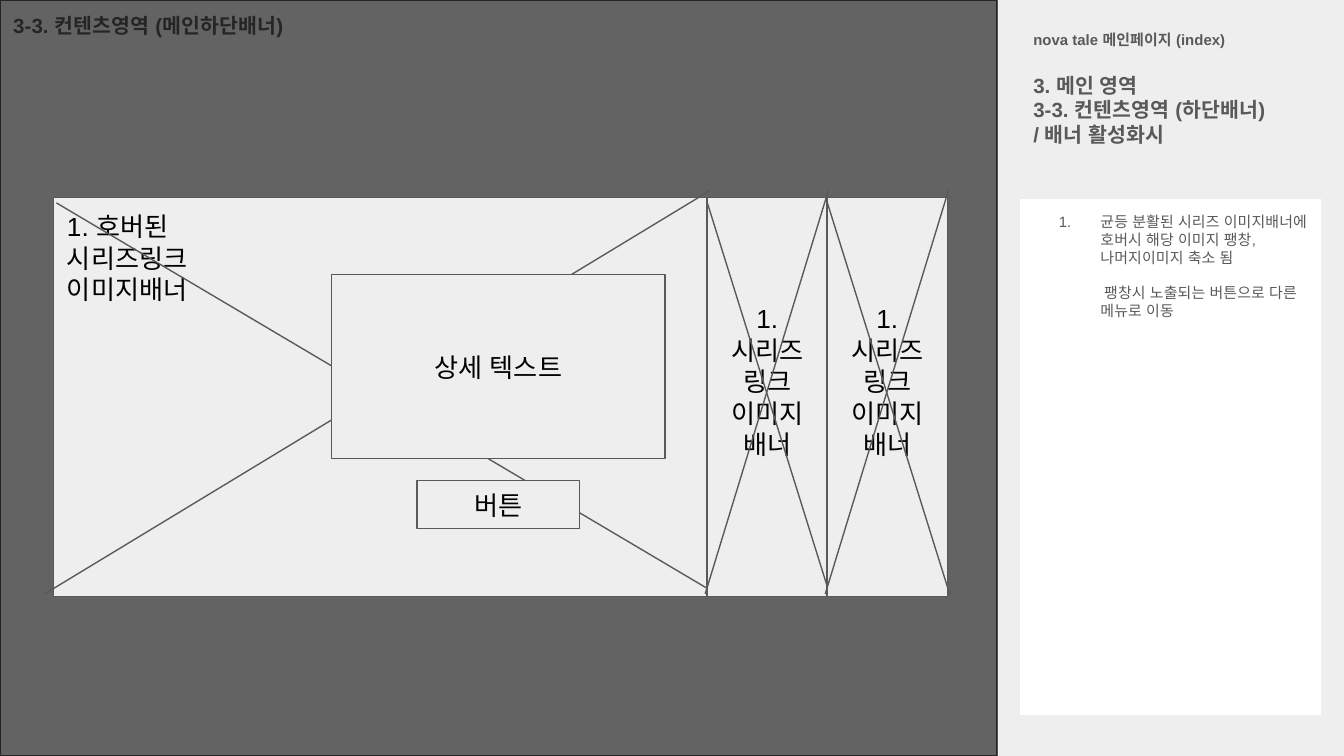
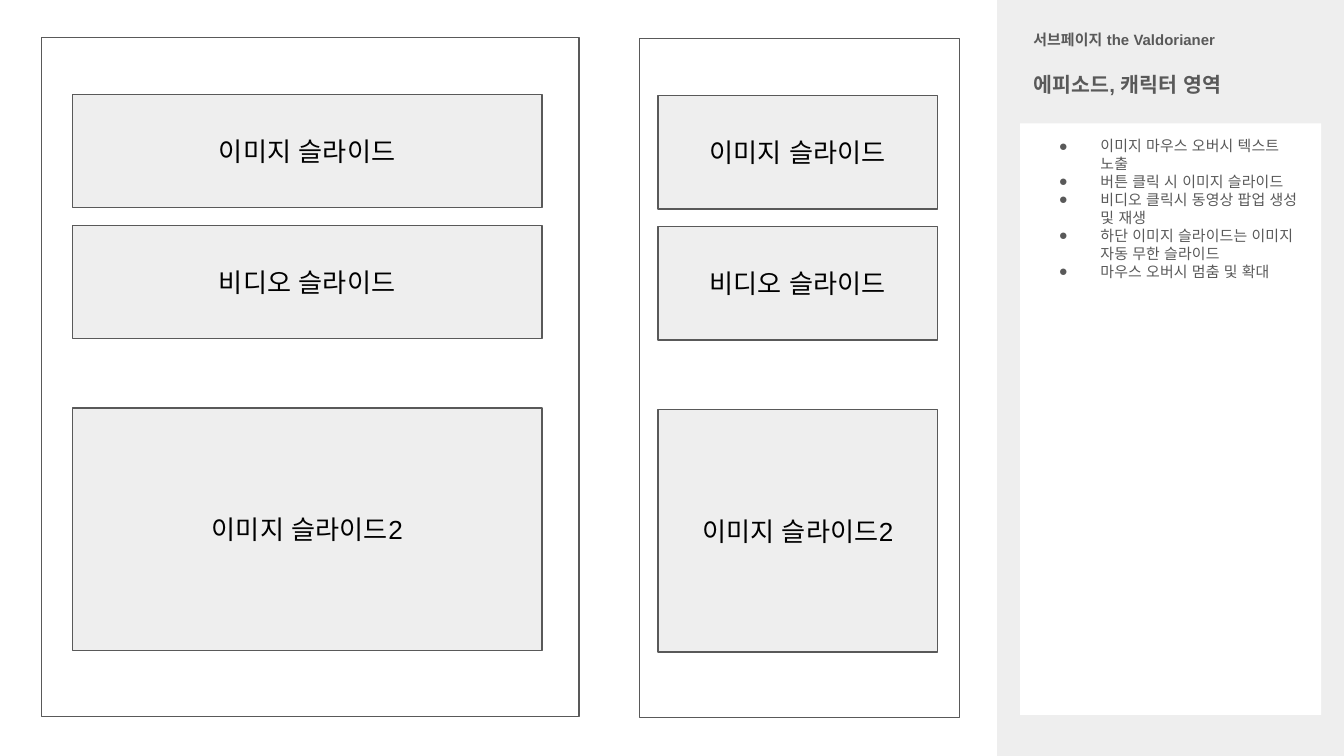
from dataclasses import dataclass
from typing import Any, NamedTuple

import pptx
import pptx.dml.color
import pptx.enum.shapes
import pptx.enum.text
import pptx.oxml.ns
import pptx.util
from lxml import etree

Pt = pptx.util.Pt
Align = pptx.enum.text.PP_ALIGN
Anchor = pptx.enum.text.MSO_ANCHOR
qn = pptx.oxml.ns.qn


@dataclass(frozen=True)
class Theme:
    font: str = "Arial"
    grey: str = "EEEEEE"
    white: str = "FFFFFF"
    black: str = "000000"
    ink: str = "595959"
    small: float = 8
    title: float = 11
    label: float = 14
    line: float = 0.75
    inset: float = 7.2


THEME = Theme()
WIDTH, HEIGHT = 720, 405
SIDEBAR_X = 534.2
PANEL_X, PANEL_W, PANEL_BOTTOM = 546.5, 161.3, 383
HANG_LEFT, HANG = 36, 22.3


class Box(NamedTuple):
    x: float
    y: float
    w: float
    h: float


class Style(NamedTuple):
    size: float
    color: str
    bold: bool = False
    align: Any = Align.LEFT
    anchor: Any = Anchor.TOP


class Note(NamedTuple):
    """A sidebar note; an empty mark continues the note above it."""
    text: str
    mark: str = ""


class Banner(NamedTuple):
    box: Box
    text: str
    style: Style
    extra_bottom: float = 0


class Frame(NamedTuple):
    box: Box
    block_x: float
    block_w: float


class Block(NamedTuple):
    text: str
    top: float
    h: float


SMALL = Style(THEME.small, THEME.ink)
PAGE = Style(THEME.small, THEME.ink, True)
TITLE = Style(THEME.title, THEME.ink, True)
LABEL = Style(THEME.label, THEME.black)
CENTERED = Style(THEME.label, THEME.black, False, Align.CENTER, Anchor.MIDDLE)

BANNER_Y, BANNER_H = 105.8, 213.8
NARROW_X, NARROW_W, NARROW_STEP = 378.7, 64.8, 64.3
BANNERS = [Banner(Box(28.8, BANNER_Y, 350, BANNER_H),
                  "1. 호버된\n시리즈링크\n이미지배너", LABEL)]
BANNERS += [Banner(Box(NARROW_X + i * NARROW_STEP, BANNER_Y, NARROW_W, BANNER_H),
                   "1. 시리즈링크\n이미지배너", CENTERED, 16.8) for i in range(2)]

DETAILS = [("상세 텍스트", Box(177.6, 147, 178.8, 98.8)),
           ("버튼", Box(223.4, 257.5, 87, 25.7))]

FRAMES = [Frame(Box(22.3, 20, 288, 363.8), 38.9, 251.5),
          Frame(Box(342.7, 20.7, 171.3, 363.8), 352.6, 149.6)]
BLOCKS = [Block("이미지 슬라이드", 30.5, 60.8),
          Block("비디오 슬라이드", 100.7, 60.8),
          Block("이미지 슬라이드2", 198.6, 130)]

BANNER_NOTES = [
    Note("균등 분활된 시리즈 이미지배너에 호버시 해당 이미지 팽창, 나머지이미지 축소 됨", "1."),
    Note("팽창시 노출되는 버튼으로 다른 메뉴로 이동"),
]
EPISODE_NOTES = [Note(text, "●") for text in (
    "이미지 마우스 오버시 텍스트 노출",
    "버튼 클릭 시 이미지 슬라이드",
    "비디오 클릭시 동영상 팝업 생성 및 재생",
    "하단 이미지 슬라이드는 이미지 자동 무한 슬라이드",
    "마우스 오버시 멈춤 및 확대",
)]


def rgb(color: str) -> Any:
    return pptx.dml.color.RGBColor.from_string(color)


def apply(target: Any, values: dict[str, Any]) -> None:
    for name, value in values.items():
        setattr(target, name, value)


def write(sp: Any, text: str, style: Style, extra_bottom: float = 0) -> list[Any]:
    """Fill a shape with one paragraph per line and return the paragraphs."""
    tf = sp.text_frame
    inset = Pt(THEME.inset)
    apply(tf, {"word_wrap": True, "vertical_anchor": style.anchor,
               "margin_left": inset, "margin_right": inset, "margin_top": inset,
               "margin_bottom": Pt(THEME.inset + extra_bottom)})
    paragraphs = []
    for i, line in enumerate(text.split("\n")):
        p = tf.add_paragraph() if i else tf.paragraphs[0]
        p.alignment = style.align
        r = p.add_run()
        r.text = line
        apply(r.font, {"name": THEME.font, "size": Pt(style.size), "bold": style.bold})
        r.font.color.rgb = rgb(style.color)
        for script in ("a:ea", "a:cs"):
            etree.SubElement(r.font._element, qn(script), typeface=THEME.font)
        paragraphs.append(p)
    return paragraphs


def add_rect(shapes: Any, box: Box, fill: str = "", line: str = "") -> Any:
    sp = shapes.add_shape(pptx.enum.shapes.MSO_SHAPE.RECTANGLE, *map(Pt, box))
    sp.shadow.inherit = False
    if fill:
        sp.fill.solid()
        sp.fill.fore_color.rgb = rgb(fill)
    else:
        sp.fill.background()
    if line:
        sp.line.color.rgb = rgb(line)
        sp.line.width = Pt(THEME.line)
    else:
        sp.line.fill.background()
    return sp


def add_line(shapes: Any, x1: float, y1: float, x2: float, y2: float) -> None:
    cx = shapes.add_connector(pptx.enum.shapes.MSO_CONNECTOR.STRAIGHT,
                              Pt(x1), Pt(y1), Pt(x2), Pt(y2))
    cx.line.color.rgb = rgb(THEME.ink)
    cx.line.width = Pt(THEME.line)
    etree.SubElement(cx._element.spPr, qn("a:effectLst"))


def add_text(s: Any, box: Box, text: str, style: Style) -> None:
    write(s.shapes.add_textbox(*map(Pt, box)), text, style)


def add_labelled_rect(s: Any, box: Box, text: str) -> None:
    write(add_rect(s.shapes, box, THEME.grey, THEME.ink), text, CENTERED)


def add_banner(s: Any, banner: Banner) -> None:
    """Group a labelled box with the two diagonals that cross it."""
    shapes = s.shapes.add_group_shape().shapes
    x, y, w, h = banner.box
    sp = add_rect(shapes, banner.box, THEME.grey, THEME.ink)
    write(sp, banner.text, banner.style, banner.extra_bottom)
    add_line(shapes, x + 0.004 * w, y + 2.9, x + 1.018 * w, y + h - 0.7)
    add_line(shapes, x - 0.014 * w, y + h - 1.4, x + 1.004 * w, y - 3.6)


def format_note(p: Any, note: Note) -> None:
    pPr = p._p.get_or_add_pPr()
    pPr.set("marL", str(Pt(HANG_LEFT)))
    if not note.mark:
        p.space_before = Pt(9.6)
        pPr.set("indent", str(Pt(2)))
        return
    pPr.set("indent", str(Pt(-HANG)))
    color = etree.SubElement(pPr, qn("a:buClr"))
    etree.SubElement(color, qn("a:srgbClr"), val=THEME.ink)
    etree.SubElement(pPr, qn("a:buFont"), typeface=THEME.font)
    if note.mark == "1.":
        etree.SubElement(pPr, qn("a:buAutoNum"), type="arabicPeriod")
    else:
        etree.SubElement(pPr, qn("a:buChar"), char=note.mark)


def add_sidebar(s: Any, page: str, title: str, notes: list[Note], top: float) -> None:
    add_rect(s.shapes, Box(SIDEBAR_X, 0, WIDTH - SIDEBAR_X, HEIGHT), THEME.grey)
    add_text(s, Box(PANEL_X, 11.5, PANEL_W, 26), page, PAGE)
    add_text(s, Box(PANEL_X, 31.7, PANEL_W, 26), title, TITLE)
    sp = add_rect(s.shapes, Box(PANEL_X, top, PANEL_W, PANEL_BOTTOM - top), THEME.white)
    paragraphs = write(sp, "\n".join(note.text for note in notes), SMALL)
    for p, note in zip(paragraphs, notes):
        format_note(p, note)


def add_dimmed_page(s: Any, heading: str) -> None:
    area = Box(0, 0, SIDEBAR_X, HEIGHT)
    write(add_rect(s.shapes, area, THEME.grey, THEME.ink), heading, TITLE)
    shade = add_rect(s.shapes, area, THEME.black)
    color = shade._element.spPr.find(qn("a:solidFill")).find(qn("a:srgbClr"))
    etree.SubElement(color, qn("a:alpha"), val="58000")


def build_banner_slide(s: Any) -> None:
    add_sidebar(s, "nova tale 메인페이지 (index)",
                "3. 메인 영역\n3-3. 컨텐츠영역 (하단배너)\n/ 배너 활성화시",
                BANNER_NOTES, 106.6)
    add_dimmed_page(s, "3-3. 컨텐츠영역 (메인하단배너)")
    for banner in BANNERS:
        add_banner(s, banner)
    for text, box in DETAILS:
        add_labelled_rect(s, box, text)


def build_episode_slide(s: Any) -> None:
    add_sidebar(s, "서브페이지 the Valdorianer", "에피소드, 캐릭터 영역",
                EPISODE_NOTES, 66.2)
    for frame in FRAMES:
        add_rect(s.shapes, frame.box, line=THEME.ink)
        for block in BLOCKS:
            box = Box(frame.block_x, frame.box.y + block.top, frame.block_w, block.h)
            add_labelled_rect(s, box, block.text)


def main() -> None:
    prs = pptx.Presentation()
    apply(prs, {"slide_width": Pt(WIDTH), "slide_height": Pt(HEIGHT)})
    for build in (build_banner_slide, build_episode_slide):
        build(prs.slides.add_slide(prs.slide_layouts[6]))
    prs.save("out.pptx")


if __name__ == "__main__":
    main()
